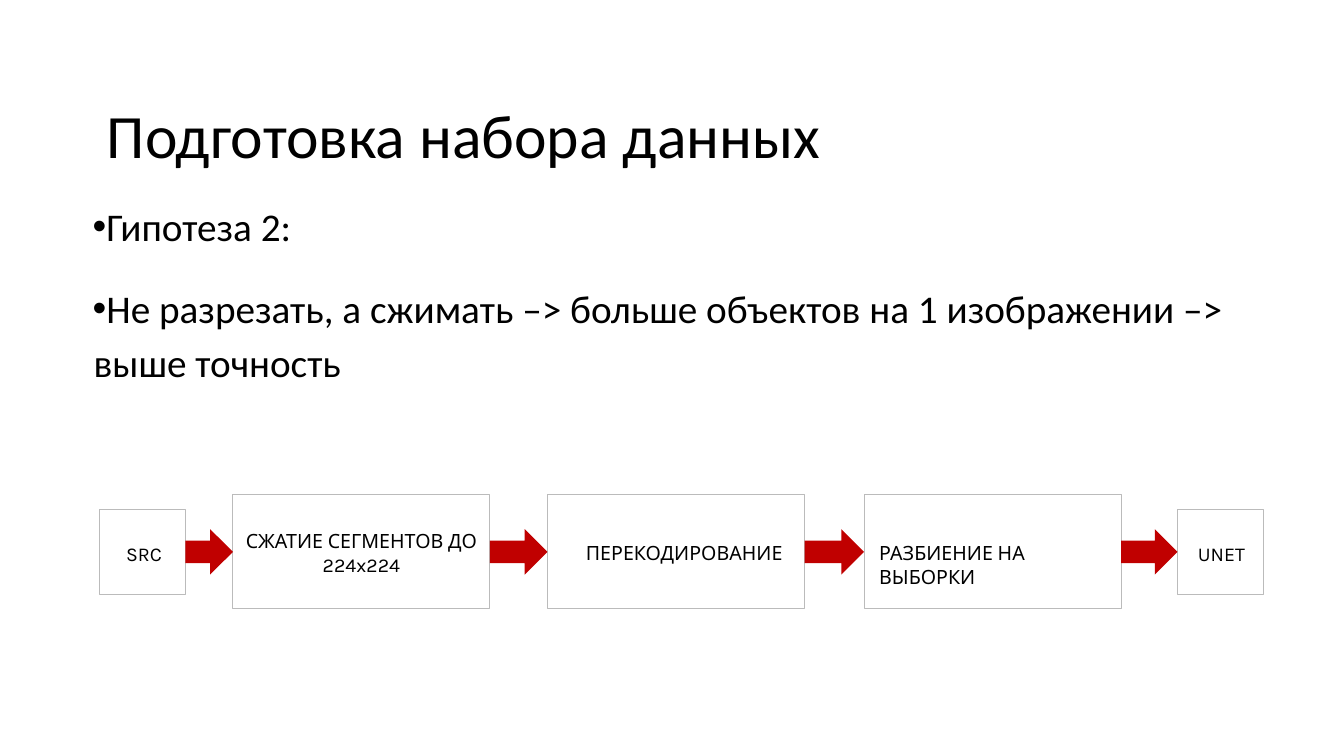
import dataclasses
import itertools

import pptx
import pptx.dml.color
import pptx.enum.shapes
import pptx.enum.text
import pptx.oxml
import pptx.oxml.ns
import pptx.slide
import pptx.text.text
import pptx.util
from pptx.util import Inches

BLACK = pptx.dml.color.RGBColor(0x00, 0x00, 0x00)
GRAY = pptx.dml.color.RGBColor(0xBB, 0xBB, 0xBB)
RED = pptx.dml.color.RGBColor(0xC0, 0x00, 0x00)

LEFT = pptx.enum.text.PP_ALIGN.LEFT
CENTER = pptx.enum.text.PP_ALIGN.CENTER

FLOW_MIDDLE = 5.475
ARROW_HEIGHT = 0.45


@dataclasses.dataclass(frozen=True)
class Step:
    lines: tuple[str, ...]
    left: float
    width: float
    height: float
    text_left: float
    text_top: float
    alignment: pptx.enum.text.PP_ALIGN = LEFT


STEPS = (
    Step(("SRC",), 0.99, 0.85, 0.85, 0.26, 0.33),
    Step(("СЖАТИЕ СЕГМЕНТОВ ДО", "224x224"), 2.31, 2.55, 1.13, 0, 0.34, CENTER),
    Step(("ПЕРЕКОДИРОВАНИЕ",), 5.43, 2.55, 1.13, 0.38, 0.46),
    Step(("РАЗБИЕНИЕ НА ВЫБОРКИ",), 8.57, 2.55, 1.13, 0.15, 0.46),
    Step(("UNET",), 11.68, 0.85, 0.85, 0.2, 0.33),
)


def set_frame(frame: pptx.text.text.TextFrame, left: float, top: float) -> None:
    """Wrap the text and set its insets; right and bottom are zero."""
    frame.word_wrap = True
    frame.auto_size = pptx.enum.text.MSO_AUTO_SIZE.NONE
    frame.margin_left, frame.margin_top = Inches(left), Inches(top)
    frame.margin_right = frame.margin_bottom = 0


def write_lines(
    frame: pptx.text.text.TextFrame,
    lines: tuple[str, ...],
    font_name: str,
    size: int,
    alignment: pptx.enum.text.PP_ALIGN = LEFT,
) -> None:
    frame.text = "\n".join(lines)
    for paragraph in frame.paragraphs:
        paragraph.alignment = alignment
        paragraph.font.name = font_name
        paragraph.font.size = pptx.util.Pt(size)
        paragraph.font.color.rgb = BLACK


def add_bullet(paragraph: pptx.text.text._Paragraph) -> None:
    properties = paragraph._p.get_or_add_pPr()
    properties.set("marL", str(Inches(0.01)))
    properties.set("indent", str(Inches(-0.25)))
    namespace = pptx.oxml.ns.nsdecls("a")
    for tag in ('buFont typeface="Arial"', 'buChar char="•"'):
        properties.append(pptx.oxml.parse_xml(f"<a:{tag.replace(' ', f' {namespace} ', 1)}/>"))


def add_title(page: pptx.slide.Slide) -> None:
    title = page.shapes.title
    title.left, title.top = Inches(0.92), Inches(0.4)
    title.width, title.height = Inches(11.5), Inches(1.45)
    set_frame(title.text_frame, 0.14, 0.4)
    title.text_frame.vertical_anchor = pptx.enum.text.MSO_ANCHOR.MIDDLE
    write_lines(title.text_frame, ("Подготовка набора данных",), "Calibri", 44)


def add_hypothesis(page: pptx.slide.Slide) -> None:
    box = page.shapes.add_textbox(Inches(0.92), Inches(2), Inches(11.5), Inches(4.76))
    set_frame(box.text_frame, 0, 0.01)
    lines = (
        "Гипотеза 2:",
        "Не разрезать, а сжимать –> больше объектов на 1 изображении –> выше точность",
    )
    write_lines(box.text_frame, lines, "Calibri", 28)
    statement = box.text_frame.paragraphs[1]
    statement.line_spacing = 1.15
    statement.space_before = pptx.util.Pt(19.9)
    for paragraph in box.text_frame.paragraphs:
        add_bullet(paragraph)


def add_step(page: pptx.slide.Slide, step: Step) -> None:
    box = page.shapes.add_shape(
        pptx.enum.shapes.MSO_SHAPE.RECTANGLE,
        Inches(step.left),
        Inches(FLOW_MIDDLE - step.height / 2),
        Inches(step.width),
        Inches(step.height),
    )
    box.shadow.inherit = False
    box.fill.background()
    box.line.color.rgb = GRAY
    box.line.width = pptx.util.Pt(0.75)
    set_frame(box.text_frame, step.text_left, step.text_top)
    box.text_frame.vertical_anchor = pptx.enum.text.MSO_ANCHOR.TOP
    write_lines(box.text_frame, step.lines, "Karla", 14, step.alignment)


def add_arrow(page: pptx.slide.Slide, source: Step, target: Step) -> None:
    """Fill the gap between two neighbouring steps with an arrow."""
    left = source.left + source.width
    arrow = page.shapes.add_shape(
        pptx.enum.shapes.MSO_SHAPE.RIGHT_ARROW,
        Inches(left),
        Inches(FLOW_MIDDLE - ARROW_HEIGHT / 2),
        Inches(target.left - left),
        Inches(ARROW_HEIGHT),
    )
    arrow.shadow.inherit = False
    arrow.fill.solid()
    arrow.fill.fore_color.rgb = RED
    arrow.line.fill.background()


def main() -> None:
    deck = pptx.Presentation()
    deck.slide_width, deck.slide_height = Inches(13.33), Inches(7.5)
    page = deck.slides.add_slide(deck.slide_layouts.get_by_name("Title Only"))
    add_title(page)
    add_hypothesis(page)
    for step in STEPS:
        add_step(page, step)
    for source, target in itertools.pairwise(STEPS):
        add_arrow(page, source, target)
    deck.save("out.pptx")


if __name__ == "__main__":
    main()
